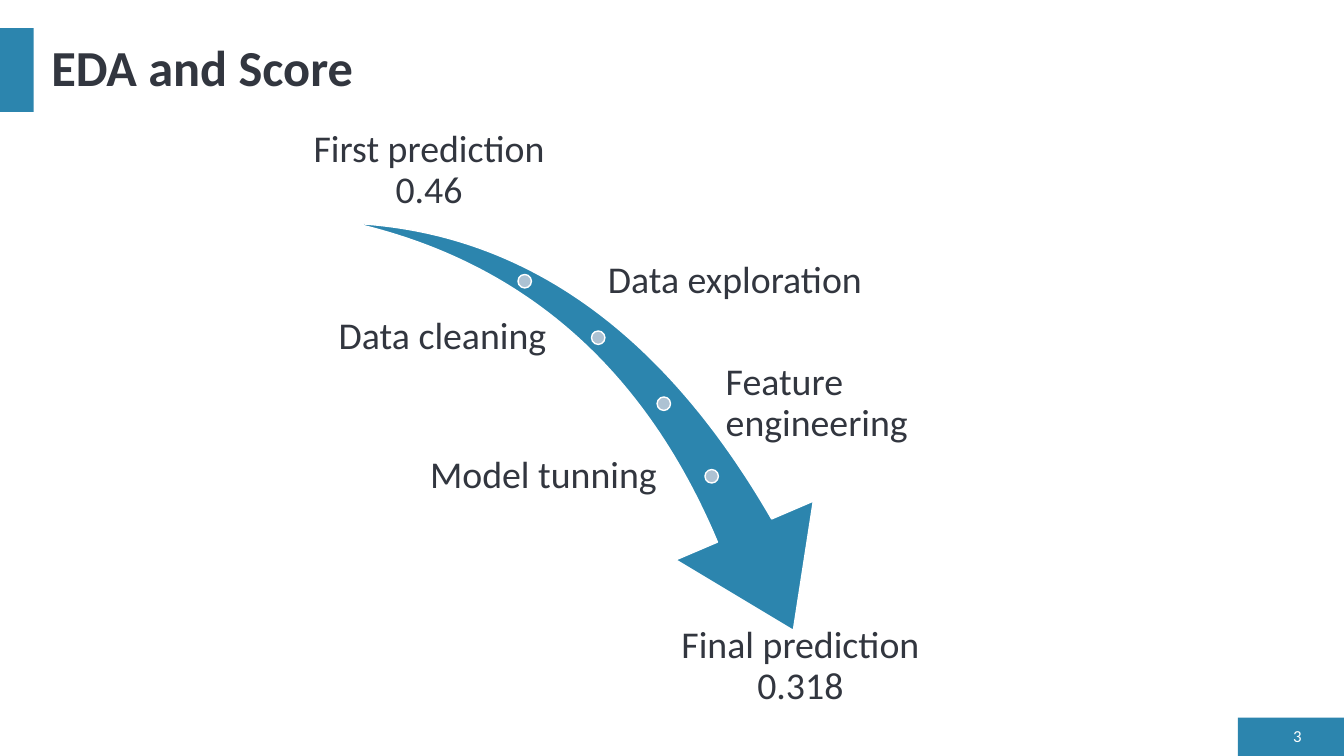
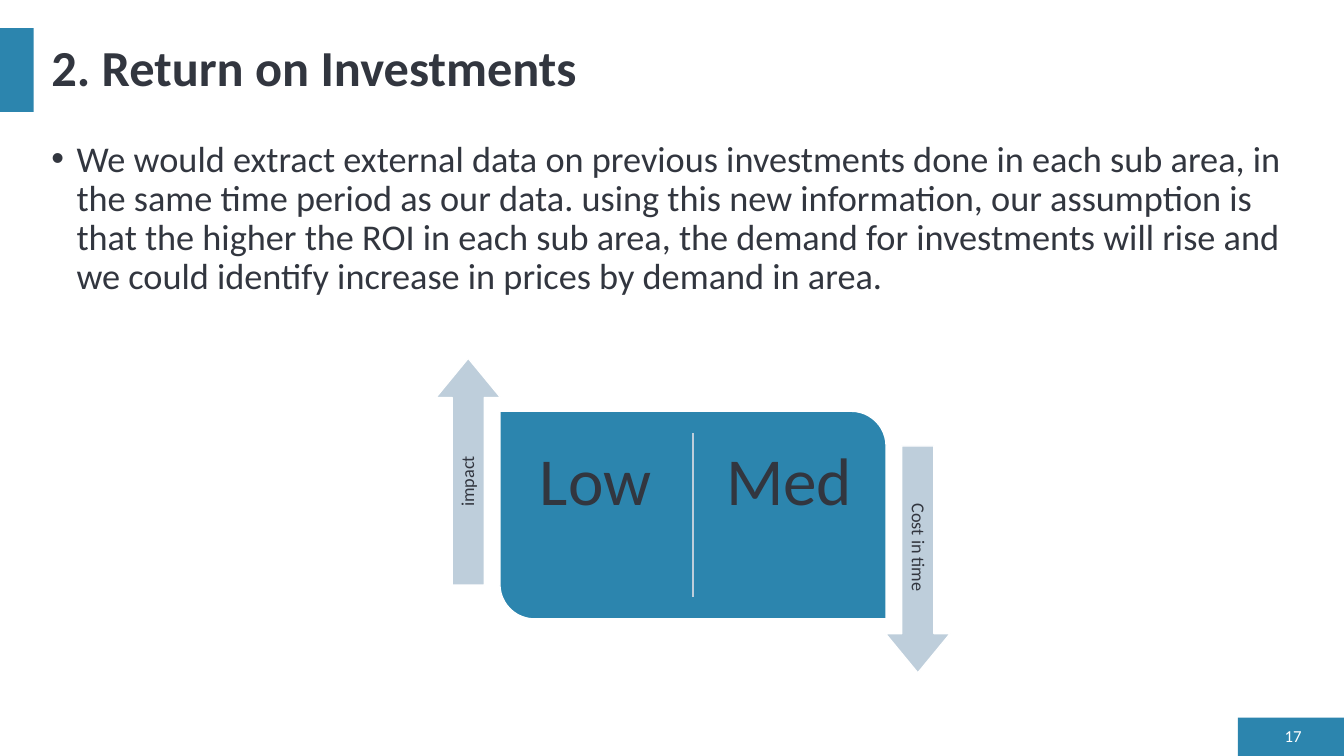
from dataclasses import dataclass
from typing import Any, NamedTuple

from lxml.etree import SubElement
from pptx import Presentation
from pptx.dml.color import RGBColor
from pptx.enum.shapes import MSO_CONNECTOR, MSO_SHAPE
from pptx.enum.text import MSO_ANCHOR, PP_ALIGN
from pptx.oxml.ns import qn
from pptx.util import Inches, Pt

WIDE, HIGH = Inches(13.333), Inches(7.5)


@dataclass(frozen=True)
class Theme:
    font: str = "Calibri"
    blue: str = "2C85AE"
    ink: str = "32363F"
    white: str = "FFFFFF"
    dot: str = "ADC2D3"
    pale: str = "BECEDB"
    title: float = 36
    body: float = 25.9
    step: float = 27
    word: float = 48
    arrow: float = 13
    page: float = 12
    line: float = 1
    tight: float = 0.9


class Box(NamedTuple):
    """Left, top, width and height in percent of the slide's size."""
    x: float
    y: float
    w: float
    h: float

    def size(self) -> tuple[int, ...]:
        return (across(self.x), down(self.y), across(self.w), down(self.h))


class Step(NamedTuple):
    """A dot on the swoosh and its label, centred on the same row."""
    x: float
    y: float
    text: str
    left: float
    right: float
    align: Any


class Arrow(NamedTuple):
    text: str
    x: float
    y: float
    turn: float


T = Theme()
BAND = Box(92.1, 94.93, 7.9, 5.07)
TAB = Box(0, 3.73, 2.5, 11.07)
TITLE = Box(3.08, 3.73, 94.5, 11.07)
PAGE = Box(94.5, 96, 3.08, 3.07)
BODY = Box(3.08, 18, 94.5, 25.87)

SWOOSH = Box(25.5, 31.6, 38.4, 47.6)
DOT = 1
LABEL = 12.67
EDGE_L, EDGE_R = 22.88, 71.8
STEPS = (
    Step(39.04, 37.2, "Data exploration", 44.93, EDGE_R, PP_ALIGN.LEFT),
    Step(44.51, 44.67, "Data cleaning", EDGE_L, 40.95, PP_ALIGN.RIGHT),
    Step(49.39, 53.4, "Feature engineering", 53.7, EDGE_R, PP_ALIGN.LEFT),
    Step(52.95, 63, "Model tunning ", EDGE_L, 49.8, PP_ALIGN.RIGHT),
)
FIRST = Box(EDGE_L, 15.87, 18.08, LABEL)
FINAL = Box(47.33, 82.27, 24.45, LABEL)

CARD = Box(37.2, 54.4, 28.73, 27.47)
RULE_TOP, RULE_END = 57.33, 78.93
WORD = Box(38.1, 56.53, 12.45, 23.33)
PITCH = 14.4
ARROW_W, ARROW_H = 16.88, 8.53
ARROWS = (
    Arrow("impact", 26.4, 58.13, 270),
    Arrow("Cost in time ", 59.85, 69.73, 90),
)
CLAIM = (
    "We would extract external data on previous investments done in each sub "
    "area, in the same time period as our data. using this new information, "
    "our assumption is that the higher the ROI in each sub area, the demand "
    "for investments will rise and we could identify increase in prices by "
    "demand in area."
)


def across(share: float) -> int:
    return round(WIDE * share / 100)


def down(share: float) -> int:
    return round(HIGH * share / 100)


def apply(item: Any, form: dict[str, Any]) -> None:
    for key, val in form.items():
        setattr(item, key, val)


def write(shape: Any, text: str, size: float, color: str = T.ink,
          bold: bool = False, align: Any = PP_ALIGN.LEFT,
          anchor: Any = MSO_ANCHOR.MIDDLE, inset: float | None = None,
          bullet: bool = False) -> None:
    frame = shape.text_frame
    apply(frame, {"word_wrap": True, "vertical_anchor": anchor})
    if inset is not None:
        sides = ("left", "top", "right", "bottom")
        apply(frame, {f"margin_{side}": Inches(inset) for side in sides})
    para = frame.paragraphs[0]
    apply(para, {"alignment": align, "line_spacing": T.tight})
    if bullet:
        props = para._p.get_or_add_pPr()
        props.set("marL", str(Inches(0.25)))
        props.set("indent", str(-Inches(0.25)))
        SubElement(props, qn("a:buFont"), typeface="Arial")
        SubElement(props, qn("a:buChar"), char="•")
    run = para.add_run()
    run.text = text
    apply(run.font, {"name": T.font, "size": Pt(size), "bold": bold})
    run.font.color.rgb = RGBColor.from_string(color)


def label(slide: Any, box: Box, text: str, size: float, **form: Any) -> None:
    write(slide.shapes.add_textbox(*box.size()), text, size, **form)


def draw(slide: Any, kind: Any, box: Box, fill: str, edge: bool = True,
         turn: float = 0, bends: tuple[float, ...] = ()) -> Any:
    shape = slide.shapes.add_shape(kind, *box.size())
    shape.shadow.inherit = False
    shape.rotation = turn
    for i, bend in enumerate(bends):
        shape.adjustments[i] = bend
    shape.fill.solid()
    shape.fill.fore_color.rgb = RGBColor.from_string(fill)
    if edge:
        stroke(shape, T.white)
    else:
        shape.line.fill.background()
    return shape


def stroke(shape: Any, color: str) -> None:
    shape.line.color.rgb = RGBColor.from_string(color)
    shape.line.width = Pt(T.line)


def start(deck: Any, title: str, page: str) -> Any:
    """Add a blank slide with the shared bands, title and page number."""
    slide = deck.slides.add_slide(deck.slide_layouts[6])
    for box in (BAND, TAB):
        draw(slide, MSO_SHAPE.RECTANGLE, box, T.blue, edge=False)
    label(slide, TITLE, title, T.title, bold=True)
    label(slide, PAGE, page, T.page, color=T.white, align=PP_ALIGN.RIGHT)
    return slide


def score(deck: Any) -> None:
    slide = start(deck, "EDA and Score", "3")
    draw(slide, MSO_SHAPE.SWOOSH_ARROW, SWOOSH, T.blue,
         turn=73.3, bends=(0.163, 0.314))
    tall = DOT * WIDE / HIGH
    for step in STEPS:
        dot = Box(step.x - DOT / 2, step.y - tall / 2, DOT, tall)
        draw(slide, MSO_SHAPE.OVAL, dot, T.dot)
        box = Box(step.left, step.y - LABEL / 2,
                  step.right - step.left, LABEL)
        label(slide, box, step.text, T.step, align=step.align, inset=0.04)
    ends = ((FIRST, "First prediction 0.46", MSO_ANCHOR.BOTTOM),
            (FINAL, "Final prediction 0.318", MSO_ANCHOR.TOP))
    for box, text, anchor in ends:
        label(slide, box, text, T.step, align=PP_ALIGN.CENTER,
              anchor=anchor, inset=0.04)


def returns(deck: Any) -> None:
    slide = start(deck, "2. Return on Investments", "17")
    label(slide, BODY, CLAIM, T.body, anchor=MSO_ANCHOR.TOP, bullet=True)
    draw(slide, MSO_SHAPE.ROUND_2_DIAG_RECTANGLE, CARD, T.blue,
         bends=(0, 0.167))
    mid = across(CARD.x + CARD.w / 2)
    rule = slide.shapes.add_connector(
        MSO_CONNECTOR.STRAIGHT, mid, down(RULE_TOP), mid, down(RULE_END))
    stroke(rule, T.pale)
    SubElement(rule._element.spPr, qn("a:effectLst"))
    for i, word in enumerate(("Low", "Med")):
        label(slide, WORD._replace(x=WORD.x + i * PITCH), word, T.word,
              align=PP_ALIGN.CENTER, anchor=MSO_ANCHOR.TOP, inset=0.2)
    for arrow in ARROWS:
        box = Box(arrow.x, arrow.y, ARROW_W, ARROW_H)
        shape = draw(slide, MSO_SHAPE.RIGHT_ARROW, box, T.pale,
                     turn=arrow.turn, bends=(0.498, 0.607))
        write(shape, arrow.text, T.arrow, align=PP_ALIGN.CENTER, inset=0.05)


def main() -> None:
    deck = Presentation()
    apply(deck, {"slide_width": WIDE, "slide_height": HIGH})
    score(deck)
    returns(deck)
    deck.save("out.pptx")


if __name__ == "__main__":
    main()
